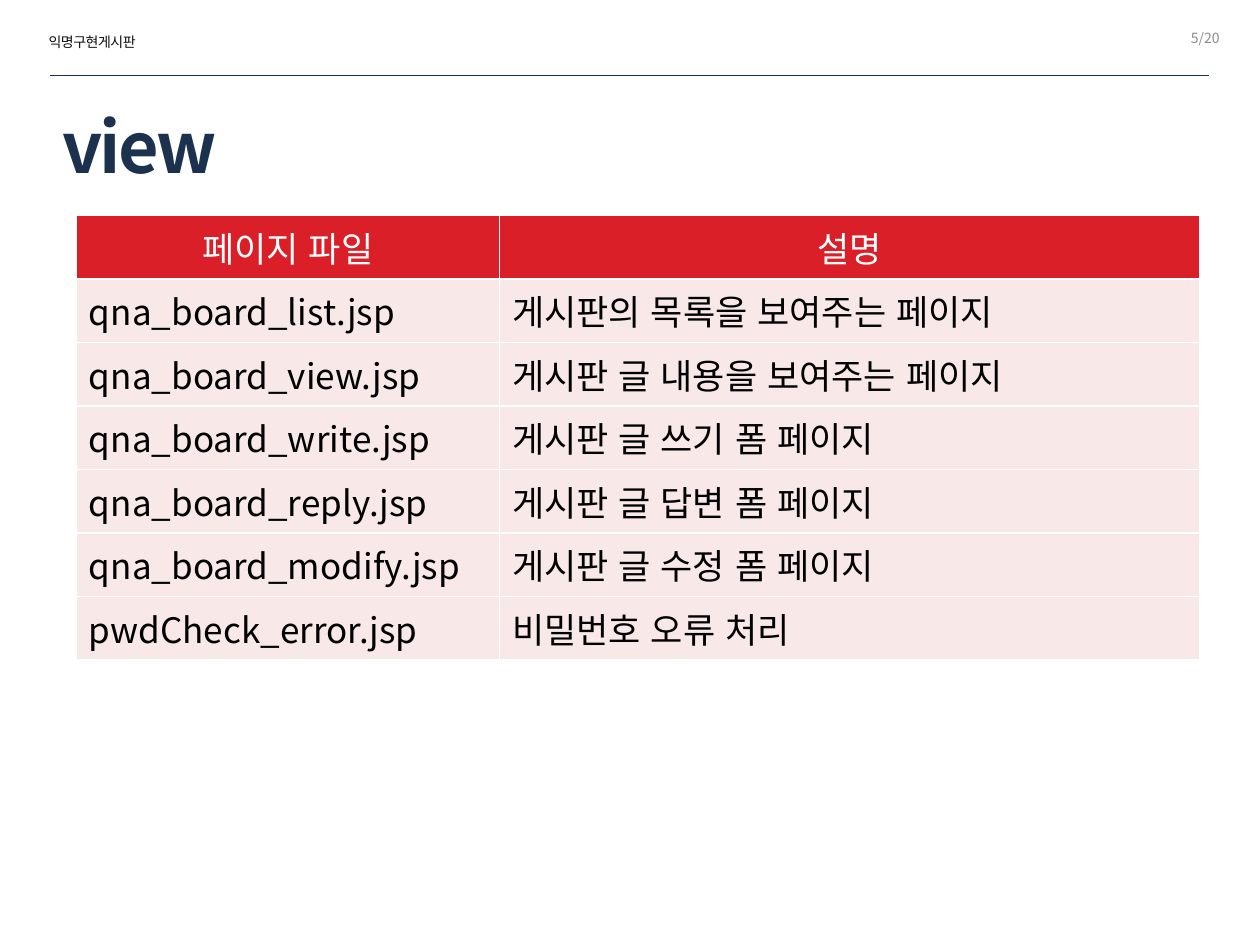
from lxml import etree
from pptx import Presentation
from pptx import util as u
from pptx.dml.color import RGBColor
from pptx.enum import lang, shapes, text
from pptx.oxml.ns import qn

FONT = "Noto Sans CJK KR"
COLORS = {
    "navy": "1C314E", "gray": "8C8C8C", "ink": "0D0D0D", "black": "000000",
    "white": "FFFFFF", "red": "DA1F28", "pink": "F8E8E8",
}


def add_run(p, words, size, color, bold=False, spacing=0):
    r = p.add_run()
    r.text = words
    r.font.size = u.Pt(size)
    r.font.bold = bold
    r.font.language_id = lang.MSO_LANGUAGE_ID.KOREAN
    r.font.color.rgb = RGBColor.from_string(COLORS[color])
    r.font.name = FONT
    rPr = r.font._element
    etree.SubElement(rPr, qn("a:ea"), typeface=FONT)
    if spacing:
        rPr.set("spc", str(round(spacing * 100)))


def add_border(cell, side, width):
    tcPr = cell._tc.get_or_add_tcPr()
    ln = etree.SubElement(tcPr, qn(f"a:ln{side}"), w=str(u.Pt(width)))
    fill = etree.SubElement(ln, qn("a:solidFill"))
    etree.SubElement(fill, qn("a:srgbClr"), val=COLORS["white"])


prs = Presentation()
prs.slide_width, prs.slide_height = u.Cm(25.4), u.Cm(19.05)
s = prs.slides.add_slide(prs.slide_layouts[5])

# Header rule
rule = s.shapes.add_connector(
    shapes.MSO_CONNECTOR.STRAIGHT, u.Cm(1), u.Cm(1.52), u.Cm(24.37), u.Cm(1.52))
rule.line.color.rgb = RGBColor.from_string(COLORS["navy"])
rule.line.width = u.Pt(0.25)
etree.SubElement(rule._element.spPr, qn("a:effectLst"))

# Title
sp = s.shapes.title
sp.left, sp.top, sp.width, sp.height = u.Cm(1), u.Cm(2.11), u.Cm(19.43), u.Cm(1.63)
tf = sp.text_frame
tf.auto_size = text.MSO_AUTO_SIZE.NONE
tf.vertical_anchor = text.MSO_ANCHOR.MIDDLE
p = tf.paragraphs[0]
p.alignment = text.PP_ALIGN.LEFT
add_run(p, "view", 40, "navy", bold=True, spacing=-1.5)

# Page number and running header
header_texts = [
    ("5/20", (18.92, 0.25, 5.92, 1.02), text.PP_ALIGN.RIGHT, text.MSO_ANCHOR.MIDDLE, "gray", 0),
    ("익명구현게시판", (0.73, 0.55, 4.39, 0.61), text.PP_ALIGN.LEFT, text.MSO_ANCHOR.TOP, "ink", -0.3),
]
for words, box, align, anchor, color, spacing in header_texts:
    sp = s.shapes.add_textbox(*[u.Cm(v) for v in box])
    tf = sp.text_frame
    tf.word_wrap = True
    tf.vertical_anchor = anchor
    p = tf.paragraphs[0]
    p.alignment = align
    add_run(p, words, 8, color, spacing=spacing)

# Table of pages
rows = [
    ("페이지 파일", "설명"),
    ("qna_board_list.jsp", "게시판의 목록을 보여주는 페이지"),
    ("qna_board_view.jsp", "게시판 글 내용을 보여주는 페이지"),
    ("qna_board_write.jsp", "게시판 글 쓰기 폼 페이지"),
    ("qna_board_reply.jsp", "게시판 글 답변 폼 페이지"),
    ("qna_board_modify.jsp", "게시판 글 수정 폼 페이지"),
    ("pwdCheck_error.jsp", "비밀번호 오류 처리"),
]
col_widths = [8.53, 14.12]
row_height = 1.28
table = s.shapes.add_table(
    len(rows), len(col_widths), u.Cm(1.54), u.Cm(4.34),
    u.Cm(sum(col_widths)), u.Cm(row_height * len(rows))).table
for column, width in zip(table.columns, col_widths):
    column.width = u.Cm(width)
for i, row in enumerate(rows):
    table.rows[i].height = u.Cm(row_height)
    is_header = i == 0
    for j, words in enumerate(row):
        cell = table.cell(i, j)
        for side in "LRTB":
            add_border(cell, side, 1)
        cell.fill.solid()
        cell.fill.fore_color.rgb = RGBColor.from_string(COLORS["red" if is_header else "pink"])
        p = cell.text_frame.paragraphs[0]
        p.alignment = text.PP_ALIGN.CENTER if is_header else text.PP_ALIGN.LEFT
        add_run(p, words, 20, "white" if is_header else "black")

prs.save("out.pptx")
